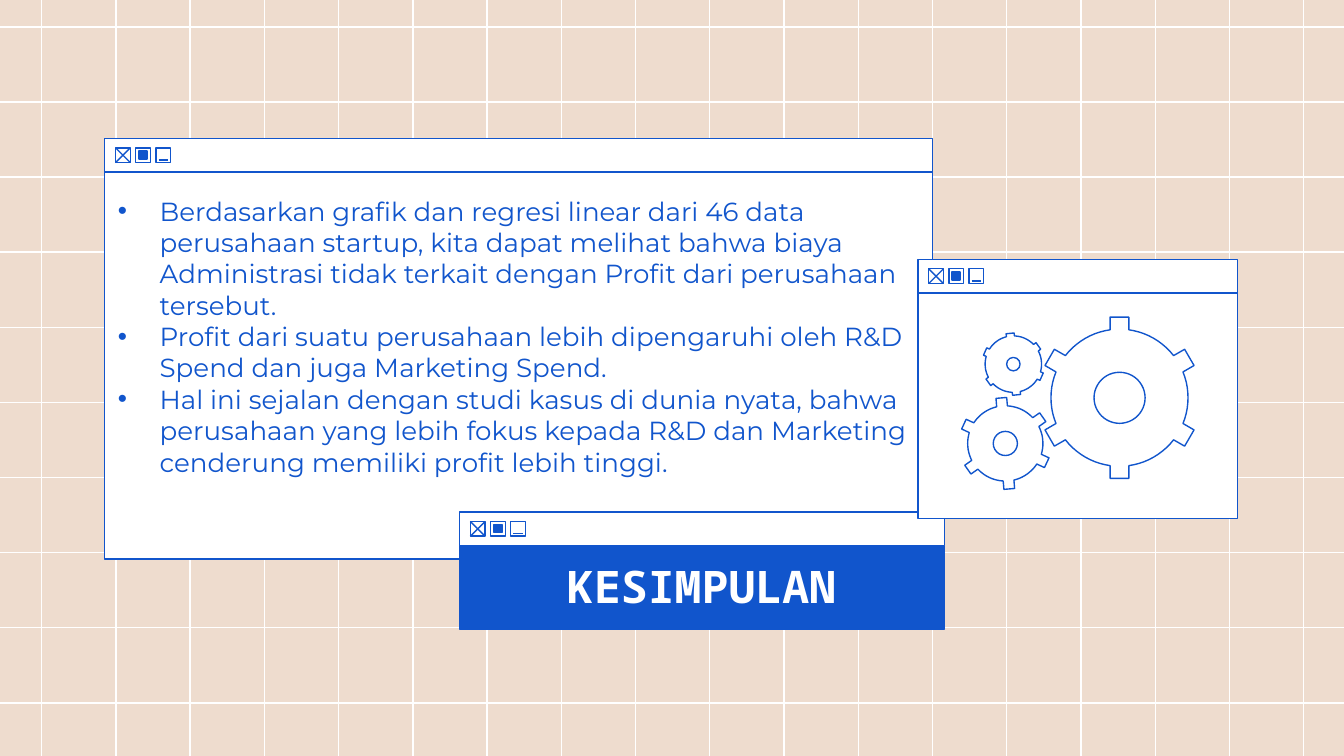
from math import asin, cos, pi, radians, sin, sqrt

from lxml.etree import SubElement
from pptx import Presentation
from pptx.dml.color import RGBColor
from pptx.enum.shapes import MSO_CONNECTOR, MSO_SHAPE
from pptx.enum.text import MSO_ANCHOR, MSO_AUTO_SIZE, PP_ALIGN
from pptx.oxml.ns import qn
from pptx.util import Inches, Pt

BLUE = RGBColor(0x11, 0x55, 0xCC)
WHITE = RGBColor(0xFF, 0xFF, 0xFF)
SAND = RGBColor(0xEE, 0xDC, 0xCE)

TITLE = "KESIMPULAN"
CONCLUSIONS = [
    "Berdasarkan grafik dan regresi linear dari 46 data perusahaan startup, kita dapat "
    "melihat bahwa biaya Administrasi tidak terkait dengan Profit dari perusahaan tersebut.",
    "Profit dari suatu perusahaan lebih dipengaruhi oleh R&D Spend dan juga Marketing Spend.",
    "Hal ini sejalan dengan studi kasus di dunia nyata, bahwa perusahaan yang lebih fokus "
    "kepada R&D dan Marketing cenderung memiliki profit lebih tinggi.",
]

WIDTH = 10
HEIGHT = WIDTH * 9 / 16
GRID_COLUMNS, GRID_ROWS = 18, 10
BAR_HEIGHT = 0.25
BUTTON, BUTTON_STEP = 0.11, 0.15
MARK = 0.06

# left, top, width, body height, body colour
TEXT_WINDOW = (0.78, 1.03, 6.16, 2.88, WHITE)
TITLE_WINDOW = (3.42, 3.81, 3.61, 0.62, BLUE)
GEAR_WINDOW = (6.83, 1.93, 2.38, 1.68, WHITE)

# centre x, centre y, body radius, tip radius, half tooth width, hub radius, tilt in degrees
GEARS = [
    (8.33, 2.96, 0.51, 0.6, 0.07, 0.19, 0),
    (7.48, 3.3, 0.28, 0.34, 0.04, 0.09, -5),
    (7.54, 2.71, 0.21, 0.23, 0.03, 0.05, -6),
]
TEETH = 6
ARC_STEPS = 10


def style(shape, fill):
    shape.shadow.inherit = False
    if fill is None:
        shape.fill.background()
    else:
        shape.fill.solid()
        shape.fill.fore_color.rgb = fill
    shape.line.color.rgb = BLUE
    shape.line.width = Pt(0.75)


def add_preset(slide, preset, left, top, width, height, fill=None):
    shape = slide.shapes.add_shape(
        preset, Inches(left), Inches(top), Inches(width), Inches(height))
    style(shape, fill)


def add_line(slide, x1, y1, x2, y2, color=BLUE):
    line = slide.shapes.add_connector(
        MSO_CONNECTOR.STRAIGHT, Inches(x1), Inches(y1), Inches(x2), Inches(y2))
    line.line.color.rgb = color
    line.line.width = Pt(0.75)
    SubElement(line._element.spPr, qn("a:effectLst"))


def add_grid(slide):
    for column in range(GRID_COLUMNS):
        x = 0.31 + column * (9.7 - 0.31) / (GRID_COLUMNS - 1)
        add_line(slide, x, 0, x, HEIGHT, WHITE)
    for row in range(GRID_ROWS):
        y = 0.2 + row * (5.23 - 0.2) / (GRID_ROWS - 1)
        add_line(slide, WIDTH, y, 0, y, WHITE)


def add_window(slide, left, top, width, body_height, body_color):
    rect = MSO_SHAPE.RECTANGLE
    add_preset(slide, rect, left, top + BAR_HEIGHT, width, body_height, body_color)
    add_preset(slide, rect, left, top, width, BAR_HEIGHT, WHITE)
    button_top = top + (BAR_HEIGHT - BUTTON) / 2
    close, maximize, minimize = (left + 0.08 + i * BUTTON_STEP for i in range(3))
    for button_left in (close, maximize, minimize):
        add_preset(slide, rect, button_left, button_top, BUTTON, BUTTON)
    right, bottom = close + BUTTON, button_top + BUTTON
    add_line(slide, close, button_top, right, bottom)
    add_line(slide, right, button_top, close, bottom)
    inset = (BUTTON - MARK) / 2
    add_preset(slide, rect, maximize + inset, button_top + inset, MARK, MARK, BLUE)
    add_line(slide, minimize + 0.02, bottom - 0.02, minimize + 0.09, bottom - 0.02)


def add_gear(slide, x, y, radius, tip, half_tooth, hub, tilt):
    def place(across, outward, angle):
        return (Inches(x + across * cos(angle) + outward * sin(angle)),
                Inches(y + across * sin(angle) - outward * cos(angle)))

    base = sqrt(radius ** 2 - half_tooth ** 2)
    pitch = 2 * pi / TEETH
    tooth_angle = asin(half_tooth / radius)
    arc = pitch - 2 * tooth_angle
    outline = []
    for tooth in range(TEETH):
        angle = radians(tilt) + tooth * pitch
        outline += [place(-half_tooth, base, angle), place(-half_tooth, tip, angle),
                    place(half_tooth, tip, angle)]
        outline += [place(0, radius, angle + tooth_angle + arc * step / ARC_STEPS)
                    for step in range(ARC_STEPS)]
    builder = slide.shapes.build_freeform(*outline[0])
    builder.add_line_segments(outline[1:], close=True)
    style(builder.convert_to_shape(), WHITE)
    add_preset(slide, MSO_SHAPE.OVAL, x - hub, y - hub, 2 * hub, 2 * hub, WHITE)


def set_frame(frame, anchor):
    frame.word_wrap = True
    frame.auto_size = MSO_AUTO_SIZE.NONE
    frame.vertical_anchor = anchor
    frame.margin_left = frame.margin_right = Inches(0.1)
    frame.margin_top = frame.margin_bottom = Inches(0.1)


def add_run(paragraph, text, font_name, size, color, bold=False):
    run = paragraph.add_run()
    run.text = text
    run.font.name = font_name
    run.font.size = Pt(size)
    run.font.color.rgb = color
    run.font.bold = bold


def set_bullet(paragraph):
    properties = paragraph._p.get_or_add_pPr()
    properties.set("marL", str(Inches(0.31)))
    properties.set("indent", str(-Inches(0.31)))
    bullet_color = SubElement(properties, qn("a:buClr"))
    SubElement(bullet_color, qn("a:srgbClr"), val=str(BLUE))
    SubElement(properties, qn("a:buFont"), typeface="Arial")
    SubElement(properties, qn("a:buChar"), char="•")


def place_title(slide):
    title = slide.shapes.title
    title.left, title.top = Inches(3.57), Inches(4.15)
    title.width, title.height = Inches(3.3), Inches(0.41)
    set_frame(title.text_frame, MSO_ANCHOR.MIDDLE)
    paragraph = title.text_frame.paragraphs[0]
    paragraph.alignment = PP_ALIGN.CENTER
    add_run(paragraph, TITLE, "Noto Sans Mono", 24, WHITE, bold=True)
    slide.shapes._spTree.append(title._element)  # in front of its window


def add_conclusions(slide):
    body = slide.shapes.add_textbox(Inches(0.78), Inches(1.35), Inches(6.16), Inches(2.41))
    frame = body.text_frame
    set_frame(frame, MSO_ANCHOR.TOP)
    for index, conclusion in enumerate(CONCLUSIONS):
        paragraph = frame.add_paragraph() if index else frame.paragraphs[0]
        set_bullet(paragraph)
        add_run(paragraph, conclusion, "Montserrat", 14, BLUE)


def main():
    deck = Presentation()
    deck.slide_width, deck.slide_height = Inches(WIDTH), Inches(HEIGHT)
    slide = deck.slides.add_slide(deck.slide_layouts[5])
    slide.background.fill.solid()
    slide.background.fill.fore_color.rgb = SAND

    add_grid(slide)
    add_window(slide, *TEXT_WINDOW)
    add_window(slide, *TITLE_WINDOW)
    place_title(slide)
    add_conclusions(slide)
    add_window(slide, *GEAR_WINDOW)
    for gear in GEARS:
        add_gear(slide, *gear)

    deck.save("out.pptx")


if __name__ == "__main__":
    main()
